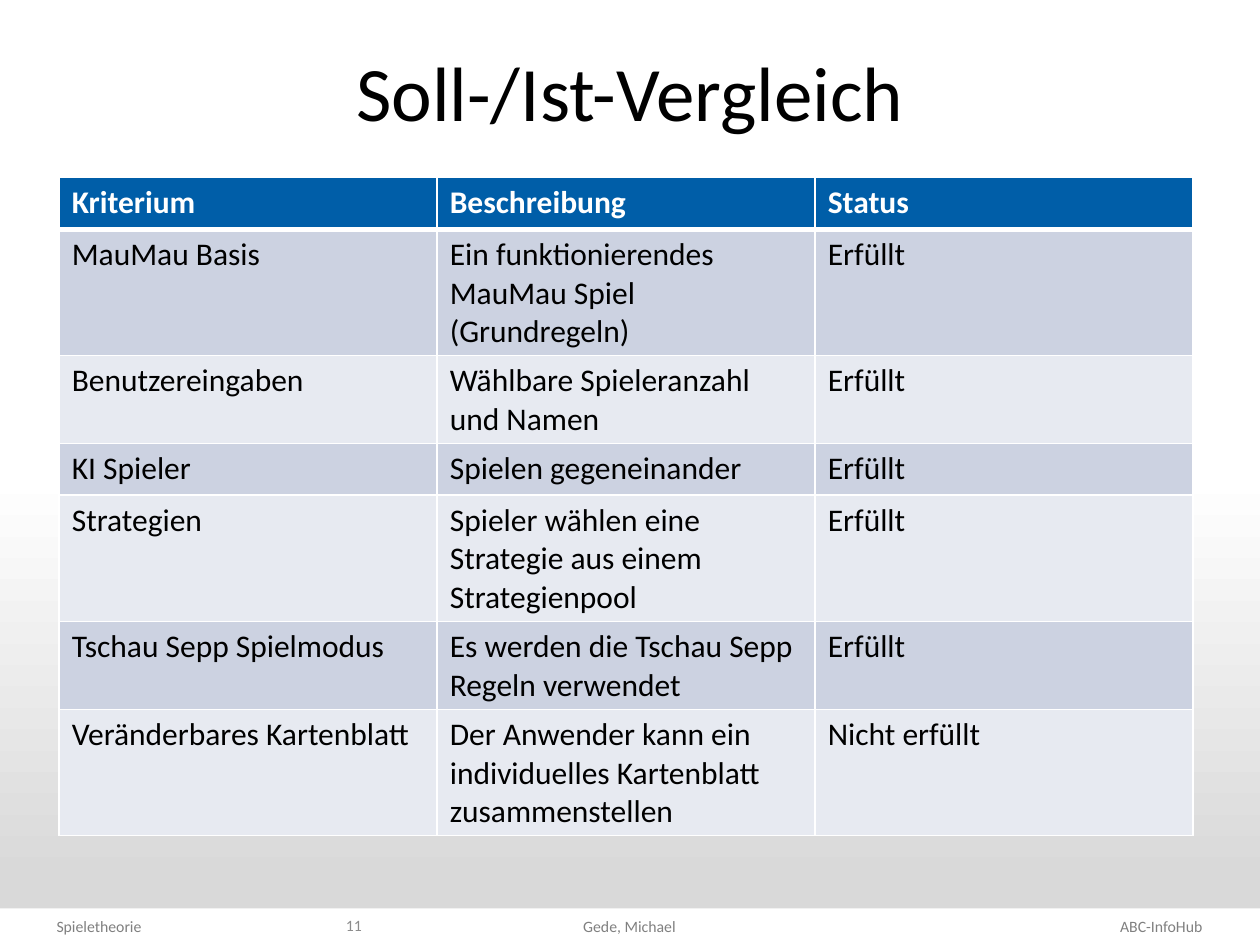
"""Build the target/actual comparison slide with its criteria table."""
from lxml import etree
from pptx import Presentation
from pptx import util as u
from pptx.dml.color import RGBColor
from pptx.enum import shapes, text
from pptx.oxml.ns import qn

TITLE = "Soll-/Ist-Vergleich"
HEADER = ("Kriterium", "Beschreibung", "Status")
CRITERIA = [
    ("MauMau Basis", "Ein funktionierendes MauMau Spiel (Grundregeln)", "Erfüllt"),
    ("Benutzereingaben", "Wählbare Spieleranzahl und Namen", "Erfüllt"),
    ("KI Spieler", "Spielen gegeneinander", "Erfüllt"),
    ("Strategien", "Spieler wählen eine Strategie aus einem Strategienpool", "Erfüllt"),
    ("Tschau Sepp Spielmodus", "Es werden die Tschau Sepp Regeln verwendet", "Erfüllt"),
    ("Veränderbares Kartenblatt",
     "Der Anwender kann ein individuelles Kartenblatt zusammenstellen", "Nicht erfüllt"),
]
LEFT, CENTER, RIGHT = text.PP_ALIGN.LEFT, text.PP_ALIGN.CENTER, text.PP_ALIGN.RIGHT
TOP, MIDDLE = text.MSO_ANCHOR.TOP, text.MSO_ANCHOR.MIDDLE
FOOTER = [
    ("Spieletheorie", (0.35, 7.23, 2.82, 0.25), LEFT, TOP, "footer"),
    ("Gede, Michael", (4.17, 7.23, 1.65, 0.25), CENTER, TOP, "footer"),
    ("ABC-InfoHub", (7.99, 7.23, 1.65, 0.25), RIGHT, TOP, "footer"),
    ("11", (1.17, 7.19, 1.8, 0.31), RIGHT, MIDDLE, "number"),
]
THEME = {
    "font": "Calibri",
    "size": {"title": 44, "table": 18, "footer": 9},
    "color": {"text": "000000", "white": "FFFFFF", "header": "005EA8",
              "bands": ("CCD2E1", "E7EAF1"), "footer": "808080", "number": "8C8C8C"},
    "background": ((0.5, "FFFFFF"), (0.93, "D9D9D9")),
    "line": {"thin": 1, "thick": 3},
}
COLOR, SIZE, LINE = THEME["color"], THEME["size"], THEME["line"]


def inches(*values):
    return [u.Inches(value) for value in values]


def write(frame, words, size, color, align=LEFT, anchor=TOP, bold=False):
    frame.word_wrap = True
    frame.vertical_anchor = anchor
    para = frame.paragraphs[0]
    para.text = words
    para.alignment = align
    para.font.name = THEME["font"]
    para.font.size = u.Pt(size)
    para.font.bold = bold
    para.font.color.rgb = RGBColor.from_string(color)


def paint(fill, color):
    fill.solid()
    fill.fore_color.rgb = RGBColor.from_string(color)


def add_borders(cell, top, bottom):
    properties = cell._tc.get_or_add_tcPr()
    sides = (("L", LINE["thin"]), ("R", LINE["thin"]), ("T", top), ("B", bottom))
    for index, (side, width) in enumerate(sides):
        line = etree.Element(qn(f"a:ln{side}"), w=str(u.Pt(width)))
        fill = etree.SubElement(line, qn("a:solidFill"))
        etree.SubElement(fill, qn("a:srgbClr"), val=COLOR["white"])
        properties.insert(index, line)


def add_background(page):
    fill = page.background.fill
    fill.gradient()
    fill.gradient_angle = 270
    for stop, (position, color) in zip(fill.gradient_stops, THEME["background"]):
        stop.position = position
        stop.color.rgb = RGBColor.from_string(color)


def add_footer(page):
    band = page.shapes.add_shape(shapes.MSO_SHAPE.RECTANGLE, *inches(0, 7.21, 10, 0.29))
    band.shadow.inherit = False
    paint(band.fill, COLOR["white"])
    band.line.fill.background()
    for words, place, align, anchor, role in FOOTER:
        box = page.shapes.add_textbox(*inches(*place))
        write(box.text_frame, words, SIZE["footer"], COLOR[role], align, anchor)


def add_criteria(page):
    rows = [HEADER, *CRITERIA]
    row_height = 0.41
    table = page.shapes.add_table(
        len(rows), len(HEADER), *inches(0.47, 1.41, 9, row_height * len(rows))).table
    for row, entries in enumerate(rows):
        header = row == 0
        fill = COLOR["header"] if header else COLOR["bands"][(row - 1) % 2]
        ink = COLOR["white"] if header else COLOR["text"]
        top = LINE["thick"] if row == 1 else LINE["thin"]
        bottom = LINE["thick"] if header else LINE["thin"]
        for column, words in enumerate(entries):
            cell = table.cell(row, column)
            write(cell.text_frame, words, SIZE["table"], ink, bold=header)
            paint(cell.fill, fill)
            add_borders(cell, top, bottom)


def main():
    deck = Presentation()
    deck.slide_width, deck.slide_height = inches(10, 7.5)
    page = deck.slides.add_slide(deck.slide_layouts[5])
    add_background(page)
    add_footer(page)
    add_criteria(page)
    title = page.shapes.title
    title.left, title.top, title.width, title.height = inches(0.5, 0.3, 9, 1.25)
    write(title.text_frame, TITLE, SIZE["title"], COLOR["text"], CENTER)
    deck.save("out.pptx")


if __name__ == "__main__":
    main()
